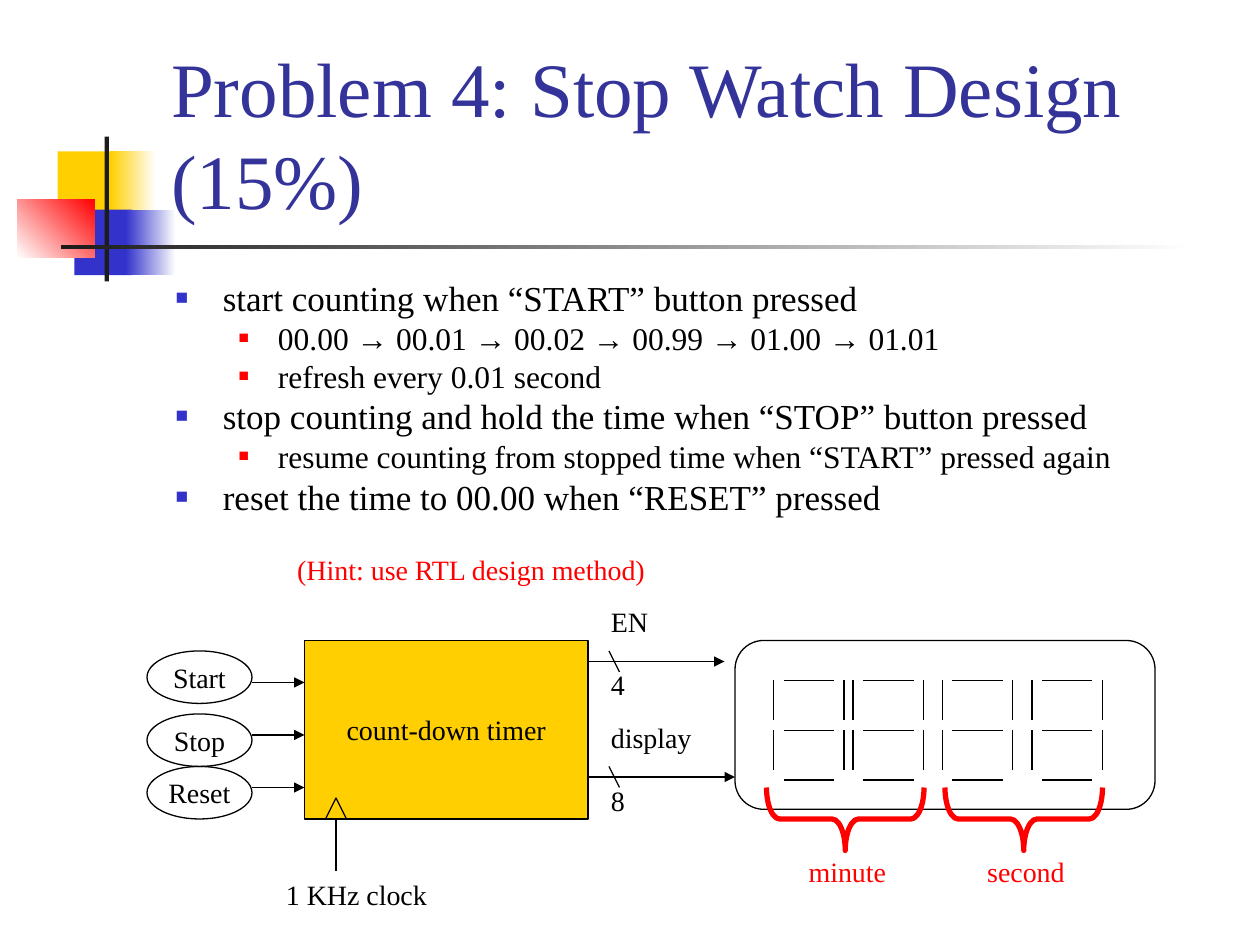
from lxml import etree
from pptx import Presentation
from pptx.dml.color import RGBColor
from pptx.enum.shapes import MSO_CONNECTOR as CONNECTOR, MSO_SHAPE as SHAPE
from pptx.enum.text import MSO_ANCHOR as ANCHOR, MSO_AUTO_SIZE as AUTO_SIZE, PP_ALIGN as ALIGN
from pptx.oxml.ns import qn
from pptx.util import Pt

BLACK = RGBColor(0x00, 0x00, 0x00)
WHITE = RGBColor(0xFF, 0xFF, 0xFF)
RED = RGBColor(0xFF, 0x00, 0x00)
YELLOW = RGBColor(0xFF, 0xCF, 0x01)
BLUE = RGBColor(0x33, 0x33, 0xCC)
TITLE_BLUE = RGBColor(0x33, 0x33, 0x99)
DARK = RGBColor(0x1C, 0x1C, 0x1C)
SERIF, SANS = "Times New Roman", "Arial"

# Content
TITLE = "Problem 4: Stop Watch Design (15%)"
REQUIREMENTS = [  # level, text
    (0, "start counting when “START” button pressed"),
    (1, "00.00 → 00.01 → 00.02 → 00.99 → 01.00 → 01.01"),
    (1, "refresh every 0.01 second"),
    (0, "stop counting and hold the time when “STOP” button pressed"),
    (1, "resume counting from stopped time when “START” pressed again"),
    (0, "reset the time to 00.00 when “RESET” pressed"),
]
LEVELS = [  # format of each bullet level
    dict(size=20, before=5, bullet=(BLUE, 60), margin=27, hanging=27),
    dict(size=18, before=4.5, bullet=(RED, 55), margin=58.5, hanging=22.5),
]
ORNAMENT = [  # left, top, width, height, colours, angle
    (33, 86.5, 34.5, 37.5, (YELLOW,), 0),
    (63, 86.5, 26, 37.5, (YELLOW, WHITE), 0),
    (42.5, 119.75, 33, 37.5, (BLUE,), 0),
    (72, 119.75, 28.5, 37.5, (BLUE, WHITE), 0),
    (9.75, 113.75, 44.25, 33.5, (WHITE, RED), 45),
    (59.75, 78, 2.5, 82.75, (DARK,), 0),
    (34.75, 140, 648, 2.5, (DARK, WHITE), 0),
]
BUTTONS = [("Start", 372, 390), ("Stop", 408, 420), ("Reset", 438, 450)]  # top, arrow y
BUSES = [  # name, name width, bits, y, arrow end
    ("EN", 36, "4", 378, 414),
    ("display", 61.5, "8", 444, 420),
]
LABELS = [  # text, left, top, width, colour
    ("(Hint: use RTL design method)", 162.75, 312, 215, RED),
    ("1 KHz clock", 156.25, 498, 95.5, BLACK),
]
UNITS = [("minute", 438), ("second", 540)]  # brace left
DIGIT_LEFTS = [442, 487.5, 538.5, 589.75]

# Diagram measures
TIMER_LEFT, TIMER_TOP, TIMER_WIDTH, TIMER_HEIGHT = 174, 366, 162, 102
BUTTON_LEFT, BUTTON_WIDTH, BUTTON_HEIGHT = 84, 60, 30
DIGIT_TOP, DIGIT_WIDTH, HALF_DIGIT, GAP = 388.75, 40.25, 28.5, 5.75
BRACE_TOP, BRACE_WIDTH, BRACE_DEPTH = 450, 90, 36
LABEL_HEIGHT = 26.5

prs = Presentation()
prs.slide_width, prs.slide_height = Pt(720), Pt(540)
slide = prs.slides.add_slide(prs.slide_layouts[6])
shapes = slide.shapes


def write(paragraph, text, size=16, color=BLACK, align=ALIGN.LEFT, before=0,
          spacing=None, bullet=None, margin=0, hanging=0):
    """Fill a paragraph; arrows inside the text take the sans font."""
    if bullet:
        bullet_color, percent = bullet
        props = paragraph._p.get_or_add_pPr()
        props.set("marL", str(Pt(margin)))
        props.set("indent", str(-Pt(hanging)))
        clr = etree.SubElement(props, qn("a:buClr"))
        etree.SubElement(clr, qn("a:srgbClr"), val=str(bullet_color))
        etree.SubElement(props, qn("a:buSzPct"), val=str(percent * 1000))
        etree.SubElement(props, qn("a:buFont"), typeface=SANS)
        etree.SubElement(props, qn("a:buChar"), char="■")
    paragraph.alignment = align
    if before:
        paragraph.space_before = Pt(before)
    if spacing:
        paragraph.line_spacing = spacing
    for piece in text.replace("→", "|→|").split("|"):
        run = paragraph.add_run()
        run.text = piece
        run.font.name = SANS if piece == "→" else SERIF
        run.font.size = Pt(size)
        run.font.color.rgb = color


def text_frame(left, top, width, height, wrap=False, anchor=ANCHOR.TOP):
    frame = shapes.add_textbox(Pt(left), Pt(top), Pt(width), Pt(height)).text_frame
    frame.word_wrap = wrap
    frame.vertical_anchor = anchor
    return frame


def label(text, left, top, width, color=BLACK):
    frame = text_frame(left, top, width, LABEL_HEIGHT)
    frame.auto_size = AUTO_SIZE.SHAPE_TO_FIT_TEXT
    write(frame.paragraphs[0], text, color=color)


def block(kind, left, top, width, height, colors=(), angle=0, line=BLACK,
          weight=0.75, text=None):
    shape = shapes.add_shape(kind, Pt(left), Pt(top), Pt(width), Pt(height))
    shape.shadow.inherit = False
    if len(colors) == 2:
        shape.fill.gradient()
        shape.fill.gradient_angle = angle
        for stop, color in zip(shape.fill.gradient_stops, colors):
            stop.color.rgb = color
    elif colors:
        shape.fill.solid()
        shape.fill.fore_color.rgb = colors[0]
    else:
        shape.fill.background()
    if line is None:
        shape.line.fill.background()
    else:
        shape.line.color.rgb = line
        shape.line.width = Pt(weight)
    if text:
        shape.text_frame.word_wrap = False
        shape.text_frame.vertical_anchor = ANCHOR.MIDDLE
        write(shape.text_frame.paragraphs[0], text, align=ALIGN.CENTER)
    return shape


def wire(x1, y1, x2, y2, arrow=False):
    line = shapes.add_connector(CONNECTOR.STRAIGHT, Pt(x1), Pt(y1), Pt(x2), Pt(y2))
    line.line.color.rgb = BLACK
    line.line.width = Pt(0.75)
    if arrow:
        etree.SubElement(line.line._get_or_add_ln(), qn("a:tailEnd"), type="triangle")
    etree.SubElement(line._element.spPr, qn("a:effectLst"))


# Corner ornament and rule
for left, top, width, height, colors, angle in ORNAMENT:
    block(SHAPE.RECTANGLE, left, top, width, height, colors, angle, line=None)

# Title and requirements
title = text_frame(90.75, 16.5, 613.5, 115.5, wrap=True, anchor=ANCHOR.BOTTOM)
write(title.paragraphs[0], TITLE, size=44, color=TITLE_BLUE)
body = text_frame(93.25, 159, 612, 159, wrap=True)
for i, (level, text) in enumerate(REQUIREMENTS):
    paragraph = body.add_paragraph() if i else body.paragraphs[0]
    paragraph.level = level
    style = LEVELS[level] if i else {**LEVELS[level], "before": 0}
    write(paragraph, text, spacing=0.8, **style)

# Timer with its clock input
timer_right, timer_bottom = TIMER_LEFT + TIMER_WIDTH, TIMER_TOP + TIMER_HEIGHT
block(SHAPE.RECTANGLE, TIMER_LEFT, TIMER_TOP, TIMER_WIDTH, TIMER_HEIGHT, (YELLOW,),
      text="count-down timer")
block(SHAPE.ISOSCELES_TRIANGLE, 186, timer_bottom - 12, 12, 12)
wire(192, timer_bottom, 192, timer_bottom + 30)
for text, left, top, width, color in LABELS:
    label(text, left, top, width, color)

# Buses to the display
for name, name_width, bits, y, end in BUSES:
    wire(timer_right, y, end, y, arrow=True)
    wire(timer_right + 12, y - 6, timer_right + 18, y + 6)
    label(bits, timer_right + 6, y, 22.5)
    label(name, timer_right + 6, y - 36, name_width)

# Seven-segment digits
for left in DIGIT_LEFTS:
    right = left + DIGIT_WIDTH
    for row in range(3):
        y = DIGIT_TOP + row * HALF_DIGIT
        wire(left + GAP, y, right - GAP, y)
        if row < 2:
            for x in (left, right):
                wire(x, y, x, y + HALF_DIGIT - GAP)
display = block(SHAPE.ROUNDED_RECTANGLE, 420, TIMER_TOP, 240, 96.5)
display.adjustments[0] = 0.17

# Braces: upright shapes turned so that their tips point down
turn = (BRACE_WIDTH - BRACE_DEPTH) / 2
for unit, left in UNITS:
    brace = block(SHAPE.LEFT_BRACE, left + turn, BRACE_TOP - turn, BRACE_DEPTH,
                  BRACE_WIDTH, line=RED, weight=3)
    brace.adjustments[0] = 0.21
    brace.rotation = 270
    label(unit, left + 17, 484.5, 59, RED)

# Buttons
for name, top, y in BUTTONS:
    block(SHAPE.OVAL, BUTTON_LEFT, top, BUTTON_WIDTH, BUTTON_HEIGHT, text=name)
    wire(BUTTON_LEFT + BUTTON_WIDTH, y, TIMER_LEFT, y, arrow=True)

prs.save("out.pptx")
